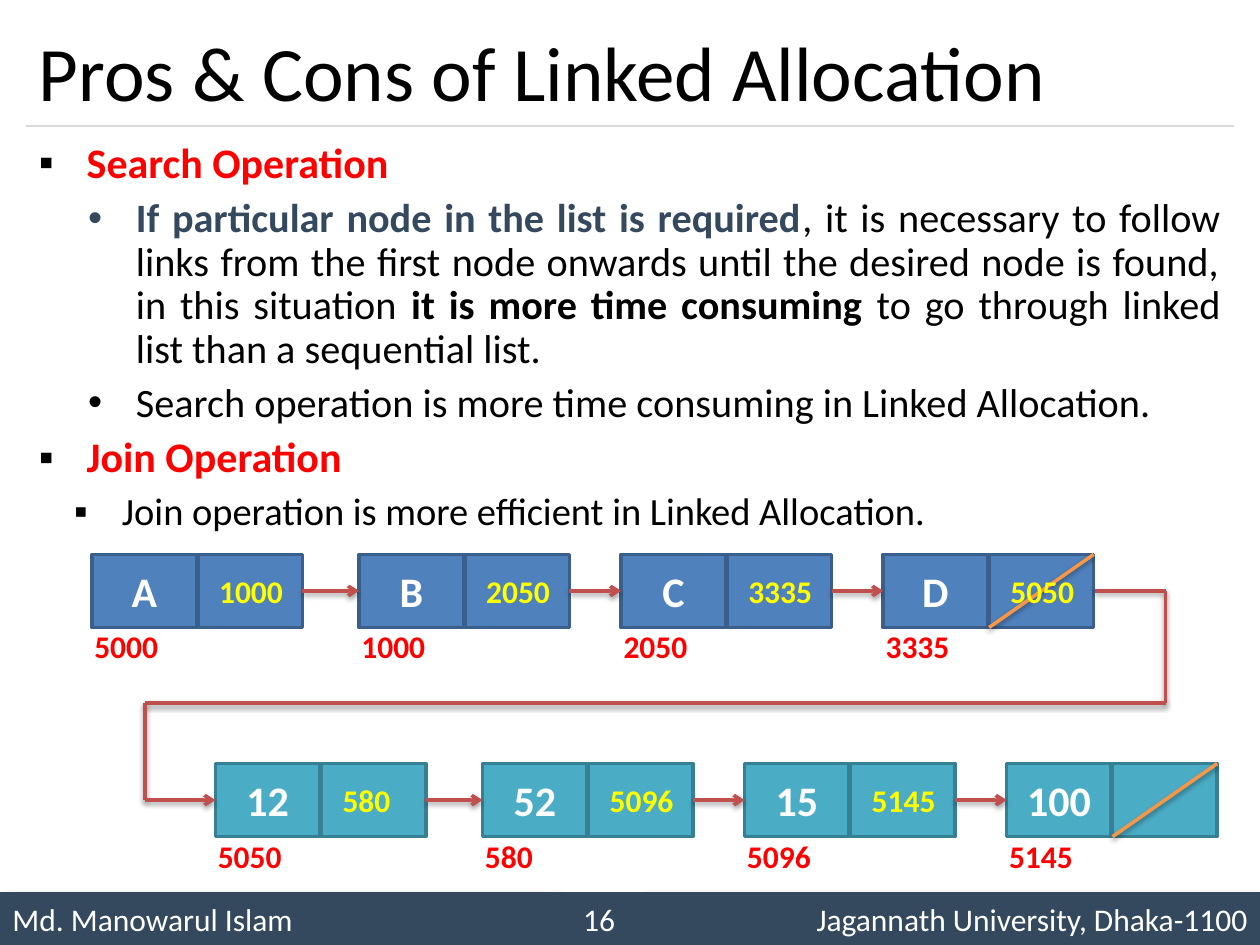
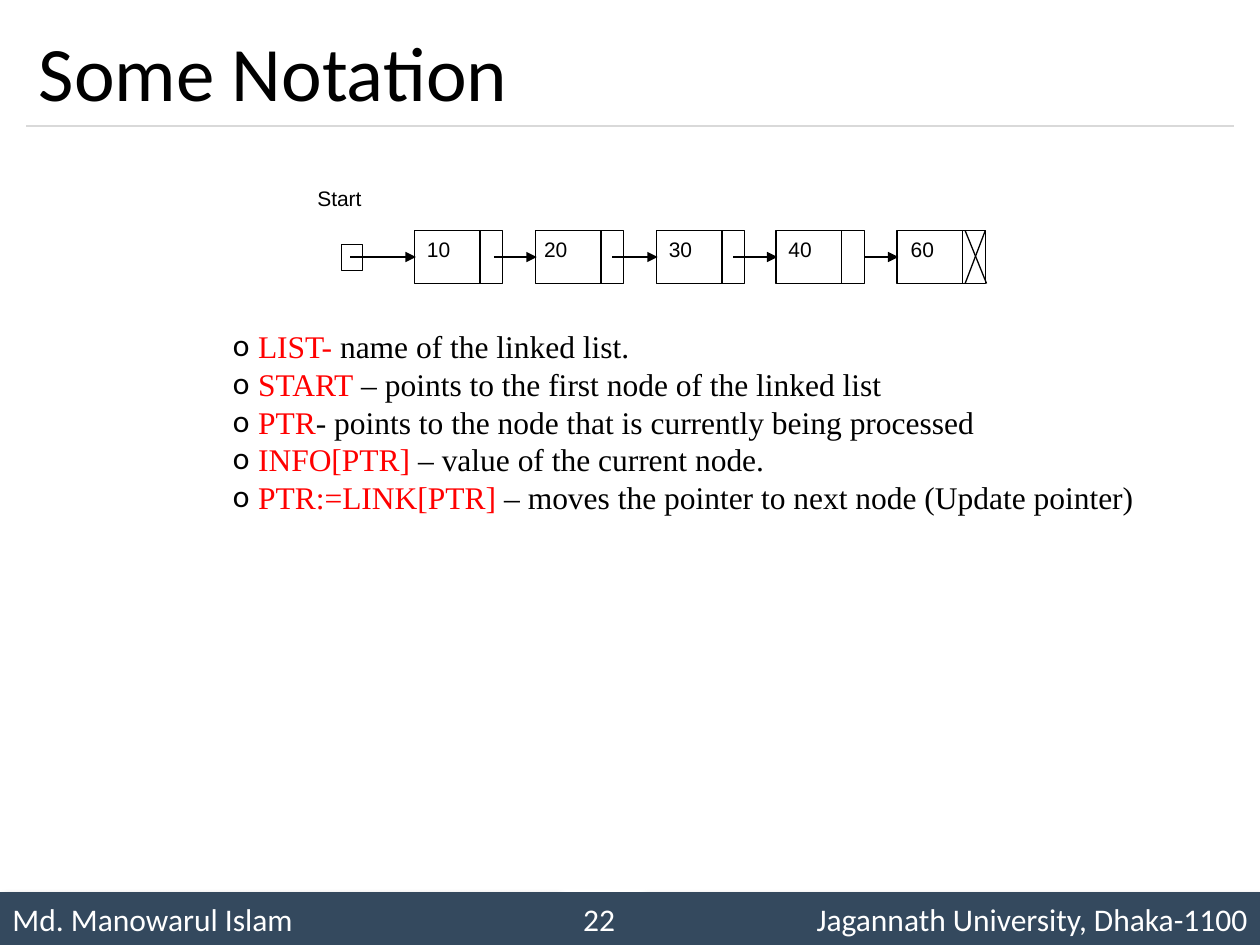
from lxml.etree import SubElement
from pptx import Presentation
from pptx.dml.color import RGBColor
from pptx.enum.shapes import MSO_CONNECTOR, MSO_SHAPE
from pptx.enum.text import MSO_ANCHOR, PP_ALIGN
from pptx.oxml.ns import qn
from pptx.util import Inches, Pt

COLORS = {
    "ink": "000000", "white": "FFFFFF", "navy": "34495E", "rule": "D9D9D9",
    "red": "FF0000", "yellow": "FFFF00", "link": "C0504D", "slash": "F79646",
    "blue": "4F81BD", "blue_edge": "3A5F8C",
    "teal": "4BACC6", "teal_edge": "377F92",
}

TITLE = dict(size=44, name="Calibri", color="ink")
FOOTER = dict(size=18, name="Calibri", color="white")
HEADING = dict(size=24, name="Calibri", color="red", bold=True)
BODY = dict(size=23, name="Calibri", color="ink")
DETAIL = dict(BODY, size=22)
VALUE = dict(size=24, name="Calibri", color="white", bold=True)
ADDRESS = dict(size=18, name="Calibri", color="red", bold=True)
POINTER = dict(ADDRESS, color="yellow")
SKETCH = dict(size=12, name="Arial", color="ink")
NOTATION = dict(size=18, name="Times New Roman", color="ink")

LINK_SHADOW = dict(blur=3.1, dist=1.6, angle=90, alpha=38)
FOOTER_SHADOW = dict(blur=4, dist=3, angle=45, alpha=40)

CELL_W, CELL_H, CELL_STEP = 0.83, 0.58, 0.84
NODE_XS = [0.73, 2.85, 4.93, 7.01]
FIRST_LIST = [("A", "5000", "1000"), ("B", "1000", "2050"),
              ("C", "2050", "3335"), ("D", "3335", "5050")]
SECOND_LIST = [("12", "5050", "580"), ("52", "580", "5096"),
               ("15", "5096", "5145"), ("100", "5145", "")]

# Each paragraph: level, left indent, bullet, bullet colour, runs
OPERATIONS = [
    (0, 0.38, "▪", "ink", [("Search Operation", HEADING)]),
    (1, 0.77, "•", "navy", [
        ("If particular node in the list is required", dict(BODY, color="navy", bold=True)),
        (", it is necessary to follow links from the first node onwards until "
         "the desired node is found, in this situation ", BODY),
        ("it is more time consuming ", dict(BODY, bold=True)),
        ("to go through linked list than a sequential list.", BODY)]),
    (1, 0.77, "•", "ink", [
        ("Search operation is more time consuming in Linked Allocation.", BODY)]),
    (0, 0.38, "▪", "ink", [("Join Operation", HEADING)]),
    (2, 0.66, "▪", "ink", [
        ("Join operation is more efficient in Linked Allocation.", DETAIL)]),
]

TERMS = [
    ("LIST-", " name of the linked list."),
    ("START", " – points to the first node of the linked list"),
    ("PTR", "- points to the node that is currently being processed"),
    ("INFO[PTR] ", "– value of the current node."),
    ("PTR:=LINK[PTR] ", "– moves the pointer to next node (Update pointer)"),
]


def rgb(color):
    return RGBColor.from_string(COLORS[color])


def add_run(p, text, fmt):
    r = p.add_run()
    r.text = text
    for key, value in fmt.items():
        if key == "color":
            r.font.color.rgb = rgb(value)
        else:
            setattr(r.font, key, Pt(value) if key == "size" else value)


def add_effects(obj, shadow=None):
    """Give an object its own effect list: empty, or with one outer shadow."""
    effects = SubElement(obj._element.spPr, qn("a:effectLst"))
    if shadow:
        outer = SubElement(effects, qn("a:outerShdw"), {
            "blurRad": str(Pt(shadow["blur"])), "dist": str(Pt(shadow["dist"])),
            "dir": str(shadow["angle"] * 60000), "rotWithShape": "0"})
        clr = SubElement(outer, qn("a:srgbClr"), val=COLORS["ink"])
        SubElement(clr, qn("a:alpha"), val=str(shadow["alpha"] * 1000))


def add_bullet(p, char, color, left, hanging, font):
    pPr = p._p.get_or_add_pPr()
    pPr.set("marL", str(Inches(left)))
    pPr.set("indent", str(-Inches(hanging)))
    clr = SubElement(pPr, qn("a:buClr"))
    SubElement(clr, qn("a:srgbClr"), val=COLORS[color])
    SubElement(pPr, qn("a:buFont"), typeface=font)
    SubElement(pPr, qn("a:buChar"), char=char)


def add_text(slide, x, y, w, h, text="", fmt=None, anchor=MSO_ANCHOR.TOP, wrap=True):
    tf = slide.shapes.add_textbox(Inches(x), Inches(y), Inches(w), Inches(h)).text_frame
    tf.word_wrap = wrap
    tf.vertical_anchor = anchor
    if text:
        add_run(tf.paragraphs[0], text, fmt)
    return tf


def add_rect(slide, x, y, w, h, fill, edge=None, width=0.75, text="", fmt=None,
             align=PP_ALIGN.CENTER, shadow=None):
    sp = slide.shapes.add_shape(MSO_SHAPE.RECTANGLE, Inches(x), Inches(y), Inches(w), Inches(h))
    sp.fill.solid()
    sp.fill.fore_color.rgb = rgb(fill)
    if edge:
        sp.line.color.rgb = rgb(edge)
        sp.line.width = Pt(width)
    else:
        sp.line.fill.background()
    if shadow:
        add_effects(sp, shadow)
    else:
        sp.shadow.inherit = False
    if text:
        sp.text_frame.vertical_anchor = MSO_ANCHOR.MIDDLE
        p = sp.text_frame.paragraphs[0]
        p.alignment = align
        add_run(p, text, fmt)


def add_line(slide, start, end, color="ink", width=0.75, head=None, shadow=None):
    line = slide.shapes.add_connector(
        MSO_CONNECTOR.STRAIGHT, *[Inches(v) for v in (*start, *end)])
    line.line.color.rgb = rgb(color)
    line.line.width = Pt(width)
    if head:
        SubElement(line.line._get_or_add_ln(), qn("a:tailEnd"), type=head)
    add_effects(line, shadow)


def add_link(slide, start, end, color="link", head=None):
    add_line(slide, start, end, color, 2, head, LINK_SHADOW)


def new_slide(prs, title, number):
    s = prs.slides.add_slide(prs.slide_layouts[6])
    for x, w, text, align, shadow in [
            (0, 4.42, "Md. Manowarul Islam", PP_ALIGN.LEFT, FOOTER_SHADOW),
            (5.08, 4.92, "Jagannath University, Dhaka-1100", PP_ALIGN.RIGHT, FOOTER_SHADOW),
            (4.42, 0.67, str(number), PP_ALIGN.CENTER, None)]:
        add_rect(s, x, 7.08, w, 0.42, "navy", text=text, fmt=FOOTER, align=align, shadow=shadow)
    add_line(s, (0.21, 1), (9.79, 1), "rule")
    add_text(s, 0.21, 0.12, 9.58, 0.88, title, TITLE, MSO_ANCHOR.MIDDLE)
    return s


def add_operations(slide):
    tf = add_text(slide, 0.21, 1.08, 9.58, 4.15)
    for i, (level, left, char, color, runs) in enumerate(OPERATIONS):
        p = tf.add_paragraph() if i else tf.paragraphs[0]
        p.level = level
        add_bullet(p, char, color, left, 0.38, "Arial")
        p.alignment = PP_ALIGN.JUSTIFY
        p.line_spacing = 0.9
        p.space_before = Pt(6 if i else 0)
        for text, fmt in runs:
            add_run(p, text, fmt)


def add_number(slide, x, y, text, fmt):
    add_text(slide, x, y, 0.2 + 0.13 * len(text), 0.4, text, fmt, wrap=False)


def add_linked_list(slide, nodes, shift, y, fill):
    """Draw a row of two-cell nodes; the last one has its link cell struck out."""
    xs = [x + shift for x in NODE_XS]
    middle, end = y + CELL_H / 2, CELL_STEP + CELL_W
    for x, (value, _, _) in zip(xs, nodes):
        add_rect(slide, x, y, CELL_W, CELL_H, fill, fill + "_edge", 2, value, VALUE)
        add_rect(slide, x + CELL_STEP, y, CELL_W, CELL_H, fill, fill + "_edge", 2)
    for x, next_x in zip(xs, xs[1:]):
        add_link(slide, (x + end, middle), (next_x, middle), head="arrow")
    add_link(slide, (xs[-1] + end, y), (xs[-1] + CELL_STEP, y + CELL_H), "slash")
    for x, (_, address, pointer) in zip(xs, nodes):
        add_number(slide, x - 0.08, y + 0.53, address, ADDRESS)
        if pointer:
            add_number(slide, x + 0.91, y + 0.09, pointer, POINTER)


def add_join_route(slide):
    route = [(8.69, 4.69), (9.25, 4.69), (9.25, 5.58), (1.15, 5.58), (1.15, 6.35), (1.71, 6.35)]
    legs = list(zip(route, route[1:]))
    for start, end in legs:
        add_link(slide, start, end, head="arrow" if (start, end) == legs[-1] else None)


def add_sketch(slide):
    top, bottom, middle = 1.83, 2.25, 2.04
    xs = [3.29, 4.25, 5.21, 6.16, 7.12]
    add_text(slide, 2.42, 1.42, 0.87, 0.42, "Start", SKETCH)
    add_rect(slide, 2.71, 1.94, 0.17, 0.21, "white", "ink")
    for i, x in enumerate(xs):
        add_rect(slide, x, top, 0.7, 0.42, "white", "ink")
        add_line(slide, (x + 0.52, top), (x + 0.52, bottom))
    tails = [2.78, 3.92, 4.86, 5.82, 6.86]
    for tail, x in zip(tails, xs):
        add_line(slide, (tail, middle), (x + 0.01, middle), head="triangle")
    for x, value in zip([3.29, 4.22, 5.21, 6.16, 7.13], ["10", "20", "30", "40", "60"]):
        add_text(slide, x, top, 0.7, 0.42, value, SKETCH)
    add_line(slide, (7.66, top), (7.83, bottom))
    add_line(slide, (7.82, top), (7.66, bottom))


def add_terms(slide):
    tf = add_text(slide, 1.75, 2.55, 7.44, 1.92)
    for i, (term, meaning) in enumerate(TERMS):
        p = tf.add_paragraph() if i else tf.paragraphs[0]
        add_bullet(p, "o", "ink", 0.2, 0.2, "Calibri")
        p.line_spacing = Pt(21.5)
        add_run(p, term, dict(NOTATION, color="red"))
        add_run(p, meaning, NOTATION)


def main():
    prs = Presentation()
    prs.slide_width, prs.slide_height = Inches(10), Inches(7.5)

    s = new_slide(prs, "Pros & Cons of Linked Allocation", 16)
    add_operations(s)
    add_linked_list(s, FIRST_LIST, 0, 4.4, "blue")
    add_linked_list(s, SECOND_LIST, 0.98, 6.06, "teal")
    add_join_route(s)

    s = new_slide(prs, "Some Notation", 22)
    add_sketch(s)
    add_terms(s)

    prs.save("out.pptx")


if __name__ == "__main__":
    main()
